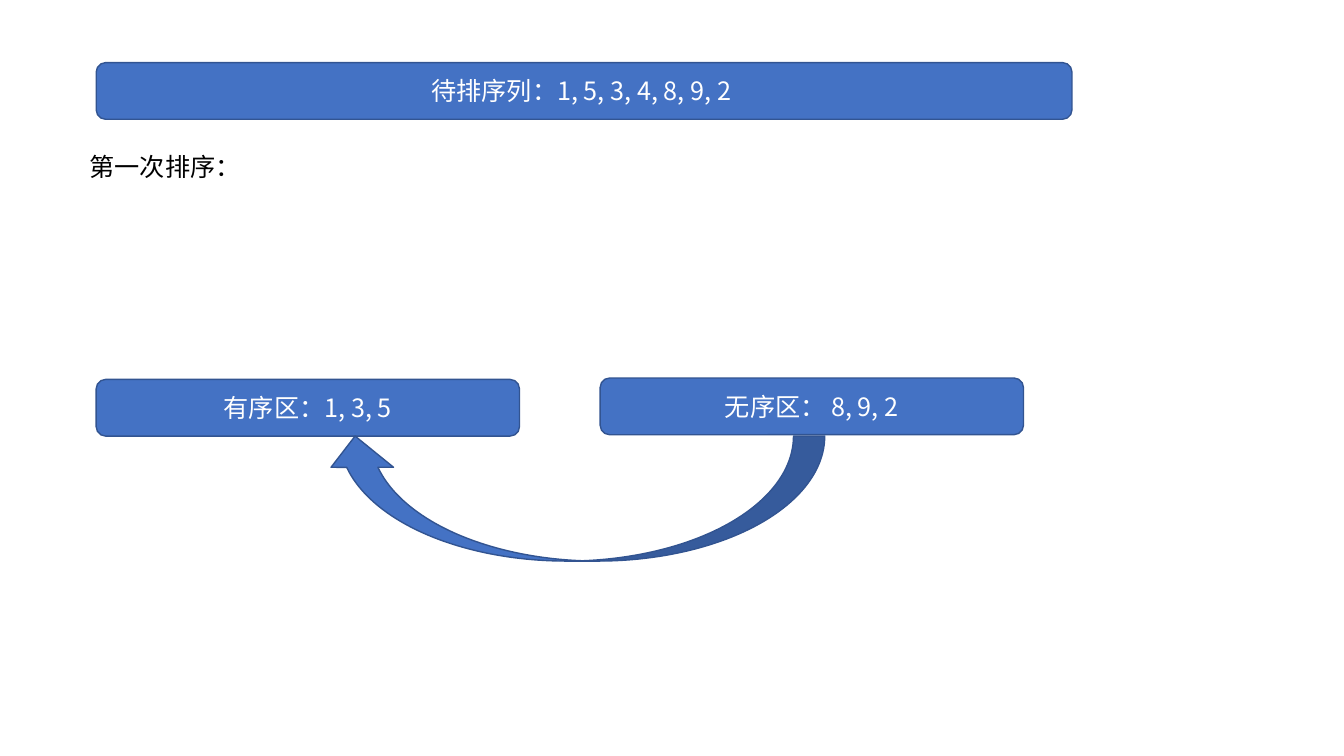
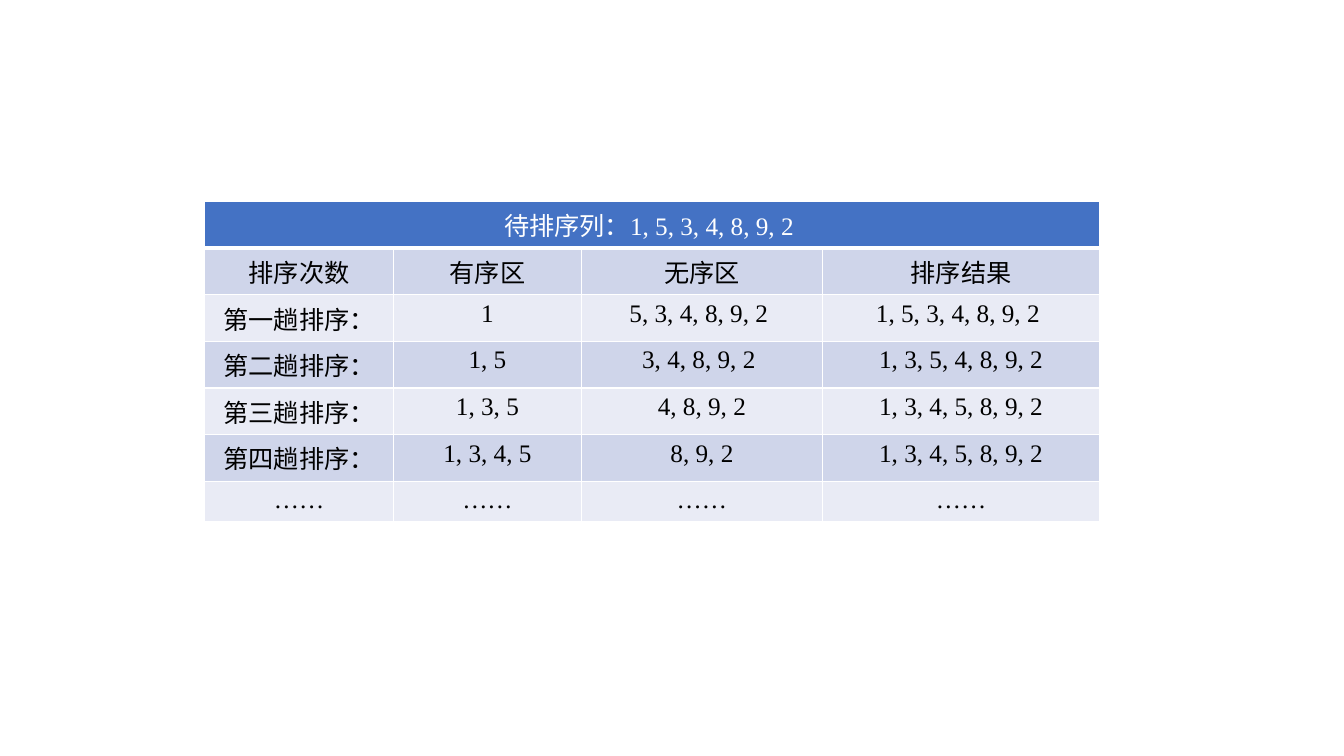
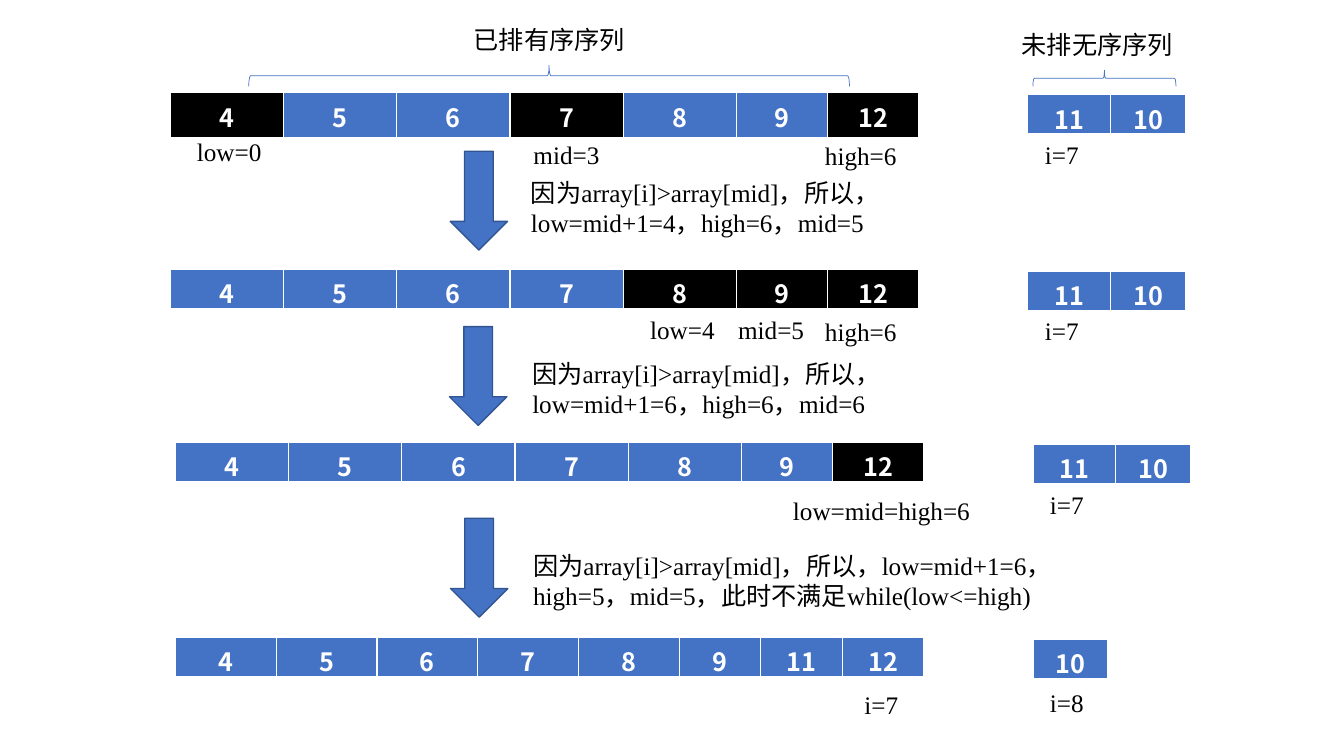
from lxml import etree
from pptx import Presentation
from pptx.dml.color import RGBColor
from pptx.enum import shapes, text
from pptx.oxml import ns
from pptx.util import Pt

COLORS = {"blue": "4472C4", "edge": "325491", "white": "FFFFFF", "black": "000000",
          "band": "CFD5EA", "pale": "E9EBF5"}
SANS, SERIF = "Noto Sans CJK SC", "Times New Roman"
SHAPE, ALIGN = shapes.MSO_SHAPE, text.PP_ALIGN


def rgb(name):
    """Return the named palette colour."""
    return RGBColor.from_string(COLORS[name])


def write(frame, words, font=SERIF, color="black", bold=False, align=ALIGN.CENTER):
    """Write one formatted paragraph into a text frame."""
    frame.word_wrap = True
    paragraph = frame.paragraphs[0]
    paragraph.alignment = align
    run = paragraph.add_run()
    run.text = words
    run.font.size, run.font.name, run.font.bold = Pt(18), font, bold
    run.font.color.rgb = rgb(color)
    east_asian = etree.SubElement(run._r.get_or_add_rPr(), ns.qn("a:ea"))
    east_asian.set("typeface", SANS)


def label(slide, words, x, y, w, h=29, **style):
    """Place a text box."""
    write(slide.shapes.add_textbox(Pt(x), Pt(y), Pt(w), Pt(h)).text_frame, words, **style)


def figure(slide, kind, x, y, w, h, turn=0, fill="blue", edge="edge", weight=1):
    """Place a preset shape in its visible box, turned by 0, 90 or 270 degrees."""
    width, height = (h, w) if turn else (w, h)
    shape = slide.shapes.add_shape(kind, Pt(x + (w - width) / 2), Pt(y + (h - height) / 2),
                                   Pt(width), Pt(height))
    shape.rotation = turn
    shape.shadow.inherit = False
    if fill:
        shape.fill.solid()
        shape.fill.fore_color.rgb = rgb(fill)
    else:
        shape.fill.background()
    shape.line.color.rgb = rgb(edge)
    shape.line.width = Pt(weight)
    return shape


def bar(slide, words, x, y, w):
    """Place a rounded bar with white text."""
    shape = figure(slide, SHAPE.ROUNDED_RECTANGLE, x, y, w, 40.5)
    shape.text_frame.vertical_anchor = text.MSO_ANCHOR.MIDDLE
    write(shape.text_frame, words, font=SANS, color="white")


def paint(cell, fill, bottom=1):
    """Give a cell its white borders and its fill."""
    properties = cell._tc.get_or_add_tcPr()
    for side, weight in (("L", 1), ("R", 1), ("T", 1), ("B", bottom)):
        line = etree.SubElement(properties, ns.qn(f"a:ln{side}"), w=str(Pt(weight)))
        solid = etree.SubElement(line, ns.qn("a:solidFill"))
        etree.SubElement(solid, ns.qn("a:srgbClr"), val=COLORS["white"])
    cell.fill.solid()
    cell.fill.fore_color.rgb = rgb(fill)


def grid(slide, x, y, widths, heights):
    """Place an unstyled table with the given columns and rows."""
    table = slide.shapes.add_table(len(heights), len(widths), Pt(x), Pt(y), Pt(sum(widths)),
                                   Pt(sum(heights))).table
    table.first_row = table.horz_banding = False
    for column, width in zip(table.columns, widths):
        column.width = Pt(width)
    for row, height in zip(table.rows, heights):
        row.height = Pt(height)
    return table


def array(slide, x, y, widths, values, marked=(), height=28.9):
    """Place an array as a one-row table with marked cells in black."""
    table = grid(slide, x, y, widths, [height])
    for index, value in enumerate(values):
        cell = table.cell(0, index)
        paint(cell, "black" if index in marked else "blue", bottom=3)
        write(cell.text_frame, value, font=SANS, color="white", bold=True)


def state(slide, x, y, ordered, widths, rest, marked, pointers, i_label, height=28.9):
    """Place the ordered and unordered arrays of one step with their pointers."""
    array(slide, x, y, widths, ordered, marked, height)
    array(slide, x + 612.5, y + 1.4, [59.2, 53.3][-len(rest):], rest)
    for words, dx, dy, w in pointers + [i_label]:
        label(slide, words, x + dx, y + dy, w)


def insertion_slide(slide):
    """Build the slide with the ordered and unordered zones."""
    bar(slide, "有序区：1, 3, 5", 68.7, 271, 302.4)
    bar(slide, "无序区： 8, 9, 2", 428.7, 270, 302.4)
    bar(slide, "待排序列：1, 5, 3, 4, 8, 9, 2 ", 68.7, 44.7, 697)
    label(slide, "第一次排序：", 56.9, 104.7, 125.3, font=SANS, align=ALIGN.LEFT)
    figure(slide, SHAPE.CURVED_LEFT_ARROW, 231.3, 311.5, 357.8, 89.3, turn=90)


def passes_slide(slide):
    """Build the table of sorting passes."""
    rows = [
        ["待排序列：1, 5, 3, 4, 8, 9, 2 "],
        ["排序次数", "有序区", "无序区", "排序结果"],
        ["第一趟排序：", "1", "5, 3, 4, 8, 9, 2 ", "1, 5, 3, 4, 8, 9, 2 "],
        ["第二趟排序：", "1, 5", "3, 4, 8, 9, 2 ", "1, 3, 5, 4, 8, 9, 2"],
        ["第三趟排序：", "1, 3, 5", "4, 8, 9, 2", "1, 3, 4, 5, 8, 9, 2"],
        ["第四趟排序：", "1, 3, 4, 5", "8, 9, 2", "1, 3, 4, 5, 8, 9, 2"],
        ["……"] * 4,
    ]
    table = grid(slide, 146.2, 144, [135, 134, 172.4, 197.8], [33.3] * 6 + [29.2])
    table.cell(0, 0).merge(table.cell(0, 3))
    for r, row in enumerate(rows):
        fill = "blue" if r == 0 else ("pale", "band")[r % 2]
        for c in range(4):
            paint(table.cell(r, c), fill, bottom=1 if r else 3)
        for c, words in enumerate(row):
            write(table.cell(r, c).text_frame, words, color="black" if r else "white")


def search_slide(slide):
    """Build the binary search steps."""
    start = ["4", "5", "6", "7", "8", "9", "12"]
    wide, narrow = [80.9] * 5 + [65.2] * 2, [72] * 5 + [58.2] * 3
    rest = ["11", "10"]
    i_label = ("i=7", 604.8, 29.5, 64)
    high = ("high=6", 451.4, 30.2, 83.5)
    state(slide, 121.7, 66.3, start, wide, rest, {0, 3, 6},
          [("low=0", 0.3, 27.4, 83.5), ("mid=3", 241.2, 29.5, 83.5), high], i_label, height=32.9)
    state(slide, 121.7, 192.2, start, wide, rest, {4, 5, 6},
          [("low=4", 324, 28.8, 83.5), ("mid=5", 387.4, 28.8, 83.5), high], i_label)
    state(slide, 125.3, 316.2, start, wide, rest, {6},
          [("low=mid=high=6", 432, 33.8, 144.7)], i_label)
    state(slide, 125.3, 455, start[:6] + ["11", "12"], narrow, ["10"], (),
          [("i=7", 472.3, 33.8, 64)], ("i=8", 604.8, 32.4, 64))

    reason = "因为array[i]>array[mid]，所以，low=mid+1="
    for arrow_x, arrow_y, x, y, w, outcome in (
            (321.6, 108, 372.2, 123.1, 274.3, "4，high=6，mid=5"),
            (321.1, 233.3, 373.1, 252.5, 274.3, "6，high=6，mid=6"),
            (321.8, 370.2, 373.7, 389.5, 406, "6，high=5，mid=5，此时不满足while(low<=high)")):
        figure(slide, SHAPE.DOWN_ARROW, arrow_x, arrow_y, 41, 70.6)
        label(slide, reason + outcome, x, y, w, 51, align=ALIGN.LEFT)

    for x, y, w, h, heading, heading_x, heading_y in (
            (177.7, 46.6, 429.1, 15.1, "已排有序序列", 325.8, 13.7),
            (737.8, 50.2, 102.2, 11.5, "未排无序序列", 717.1, 17.3)):
        figure(slide, SHAPE.RIGHT_BRACE, x, y, w, h, turn=270, fill=None, edge="blue", weight=0.5)
        label(slide, heading, heading_x, heading_y, 133.2)


def main():
    """Build and save the presentation."""
    deck = Presentation()
    deck.slide_width, deck.slide_height = Pt(960), Pt(540)
    for build in (insertion_slide, passes_slide, search_slide):
        build(deck.slides.add_slide(deck.slide_layouts[6]))
    deck.save("out.pptx")


if __name__ == "__main__":
    main()
